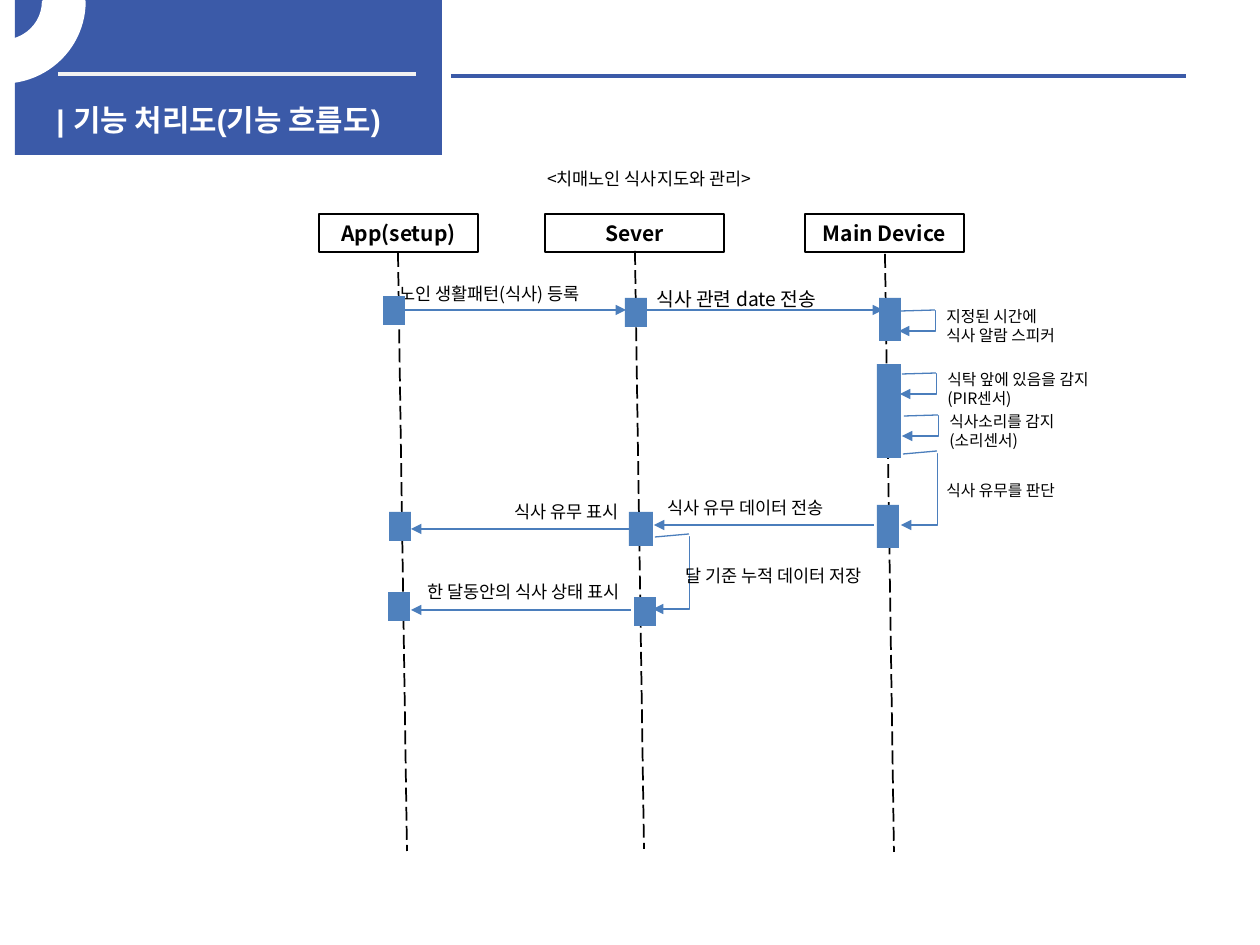
from lxml import etree
from pptx import Presentation
from pptx.dml.color import RGBColor
from pptx.enum.dml import MSO_LINE
from pptx.enum.shapes import MSO_CONNECTOR, MSO_SHAPE
from pptx.enum.text import MSO_ANCHOR, PP_ALIGN
from pptx.oxml.ns import qn
from pptx.util import Emu, Pt

STRAIGHT, ELBOW = MSO_CONNECTOR.STRAIGHT, MSO_CONNECTOR.ELBOW
RECTANGLE, BLOCK_ARC = MSO_SHAPE.RECTANGLE, MSO_SHAPE.BLOCK_ARC
LEFT, CENTER = PP_ALIGN.LEFT, PP_ALIGN.CENTER
LONG_DASH = MSO_LINE.LONG_DASH
MIDDLE = MSO_ANCHOR.MIDDLE

WHITE = RGBColor(0xFF, 0xFF, 0xFF)
BLACK = RGBColor(0, 0, 0)
BANNER = RGBColor(0x3B, 0x5A, 0xA8)
PALE = RGBColor(0xF2, 0xF2, 0xF2)
ARROW = RGBColor(0x4B, 0x7E, 0xBC)
BLOCK = RGBColor(0x4F, 0x81, 0xBD)
FONT = "Noto Sans CJK KR"
TITLE_FONT = "Arial"

PX = 914400 / 126
SLIDE_SIZE = (1260, 945)

TITLE = "| 기능 처리도(기능 흐름도)"
SUBTITLE = "<치매노인 식사지도와 관리>"

# name, box left, box width, lifeline x, lifeline top
PARTICIPANTS = [
    ("App(setup)", 319, 159, 398, 253),
    ("Sever", 545, 179, 635, 251),
    ("Main Device", 805, 159, 885, 254),
]
PARTICIPANT_TOP, PARTICIPANT_HEIGHT = 214, 38
LIFELINE_LEAN, LIFELINE_LENGTH = 9, 598

# from x, to x, y, label, label left, label top, size, alignment
MESSAGES = [
    (388, 626, 310, "노인 생활패턴(식사) 등록", 387, 277, 10, LEFT),
    (645, 883, 310, "식사 관련 date 전송", 644, 281, 11, LEFT),
    (874, 654, 525, "식사 유무 데이터 전송", 655, 491, 10, LEFT),
    (630, 411, 529, "식사 유무 표시", 412, 495, 10, CENTER),
    (631, 411, 610, "한 달동안의 식사 상태 표시", 369, 575, 10, CENTER),
]
MESSAGE_WIDTH = 309

# right x, top, bottom, rise of the upper line, label lines, label left, label top, size
SELF_CALLS = [
    (935, 311, 331, 1, ["지정된 시간에", "식사 알람 스피커"], 934, 301, 9),
    (936, 374, 394, 1, ["식탁 앞에 있음을 감지", "(PIR센서)"], 935, 364, 9),
    (938, 416, 436, 1, ["식사소리를 감지", "(소리센서)"], 937, 406, 9),
    (937, 454, 525, 3, ["식사 유무를 판단"], 934, 475, 9),
    (689, 537, 609, 3, ["달 기준 누적 데이터 저장"], 673, 559, 10),
]
SELF_CALL_REACH = 36
SELF_CALL_LABEL_WIDTH = 289
ELBOW_ADJUSTMENT = -1200

# left, top, width, height
ACTIVATIONS = [
    (383, 296, 22, 29), (389, 512, 22, 29), (388, 592, 22, 29),
    (625, 298, 22, 29), (629, 512, 24, 34), (634, 597, 22, 29),
    (879, 298, 22, 43), (877, 364, 24, 94), (877, 505, 22, 43),
]


def emu(*lengths):
    return [Emu(round(length * PX)) for length in lengths]


def write(frame, lines, size, color=BLACK, align=LEFT, bold=False, font=FONT):
    frame.word_wrap = True
    for index, line in enumerate(lines):
        paragraph = frame.paragraphs[0] if index == 0 else frame.add_paragraph()
        paragraph.alignment = align
        run = paragraph.add_run()
        run.text = line
        run.font.name = font
        run.font.size = Pt(size)
        run.font.bold = bold
        run.font.color.rgb = color
        latin = run.font._element.find(qn("a:latin"))
        east_asian = etree.Element(qn("a:ea"), typeface=FONT)
        latin.addnext(east_asian)


def add_text(slide, box, lines, size, **style):
    text_box = slide.shapes.add_textbox(*emu(*box))
    write(text_box.text_frame, lines, size, **style)


def add_box(slide, box, fill=None, line=None, width=0.75, kind=RECTANGLE):
    shape = slide.shapes.add_shape(kind, *emu(*box))
    shape.shadow.inherit = False
    if fill is None:
        shape.fill.background()
    else:
        shape.fill.solid()
        shape.fill.fore_color.rgb = fill
    if line is None:
        shape.line.fill.background()
    else:
        shape.line.color.rgb = line
        shape.line.width = Pt(width)
    return shape


def add_line(slide, ends, color=ARROW, width=0.75, arrow=False, dash=None, kind=STRAIGHT):
    connector = slide.shapes.add_connector(kind, *emu(*ends))
    connector.line.color.rgb = color
    connector.line.width = Pt(width)
    if dash is not None:
        connector.line.dash_style = dash
    if arrow:
        etree.SubElement(connector.line._get_or_add_ln(), qn("a:tailEnd"), type="triangle")
    etree.SubElement(connector._element.spPr, qn("a:effectLst"))
    return connector


def add_header(slide):
    add_box(slide, (15, 0, 427, 155), fill=BANNER)
    add_line(slide, (58, 74, 416, 74), PALE, 2.25)
    add_line(slide, (451, 76, 1186, 76), BANNER, 2.25)
    add_text(slide, (44, 96, 407, 38), [TITLE], 17, color=WHITE, bold=True, font=TITLE_FONT)
    arc = add_box(slide, (-79, -79, 163, 161), WHITE, WHITE, 2, BLOCK_ARC)
    # Angles count in 60000ths of a degree, adjustments in 100000ths
    arc.adjustments[0] = 161.59 * 0.6
    arc.adjustments[1] = 0
    arc.adjustments[2] = 0.25
    arc._element.spPr.find(qn("a:xfrm")).set("flipV", "1")


def add_participant(slide, name, left, width, x, top):
    box = add_box(slide, (left, PARTICIPANT_TOP, width, PARTICIPANT_HEIGHT), line=BLACK)
    box.text_frame.vertical_anchor = MIDDLE
    write(box.text_frame, [name], 12, align=CENTER, bold=True)
    add_line(slide, (x, top, x + LIFELINE_LEAN, top + LIFELINE_LENGTH),
             BLACK, 1, dash=LONG_DASH)


def add_self_call(slide, right, top, bottom, rise, lines, label_left, label_top, size):
    left = right - SELF_CALL_REACH
    elbow = add_line(slide, (right, top, left, bottom), arrow=True, kind=ELBOW)
    guides = elbow._element.spPr.find(qn("a:prstGeom")).get_or_add_avLst()
    etree.SubElement(guides, qn("a:gd"), name="adj1", fmla=f"val {ELBOW_ADJUSTMENT}")
    add_line(slide, (right, top - rise, left + 2, top))
    add_text(slide, (label_left, label_top, SELF_CALL_LABEL_WIDTH, 13 + 19 * len(lines)),
             lines, size)


def main():
    presentation = Presentation()
    presentation.slide_width, presentation.slide_height = emu(*SLIDE_SIZE)
    slide = presentation.slides.add_slide(presentation.slide_layouts[6])
    add_header(slide)
    add_text(slide, (378, 162, 542, 34), [SUBTITLE], 10, align=CENTER)
    for participant in PARTICIPANTS:
        add_participant(slide, *participant)
    for start, end, y, label, left, top, size, align in MESSAGES:
        add_text(slide, (left, top, MESSAGE_WIDTH, 34), [label], size, align=align)
        add_line(slide, (start, y, end, y), arrow=True)
    for self_call in SELF_CALLS:
        add_self_call(slide, *self_call)
    for activation in ACTIVATIONS:
        add_box(slide, activation, fill=BLOCK)
    presentation.save("out.pptx")


if __name__ == "__main__":
    main()
